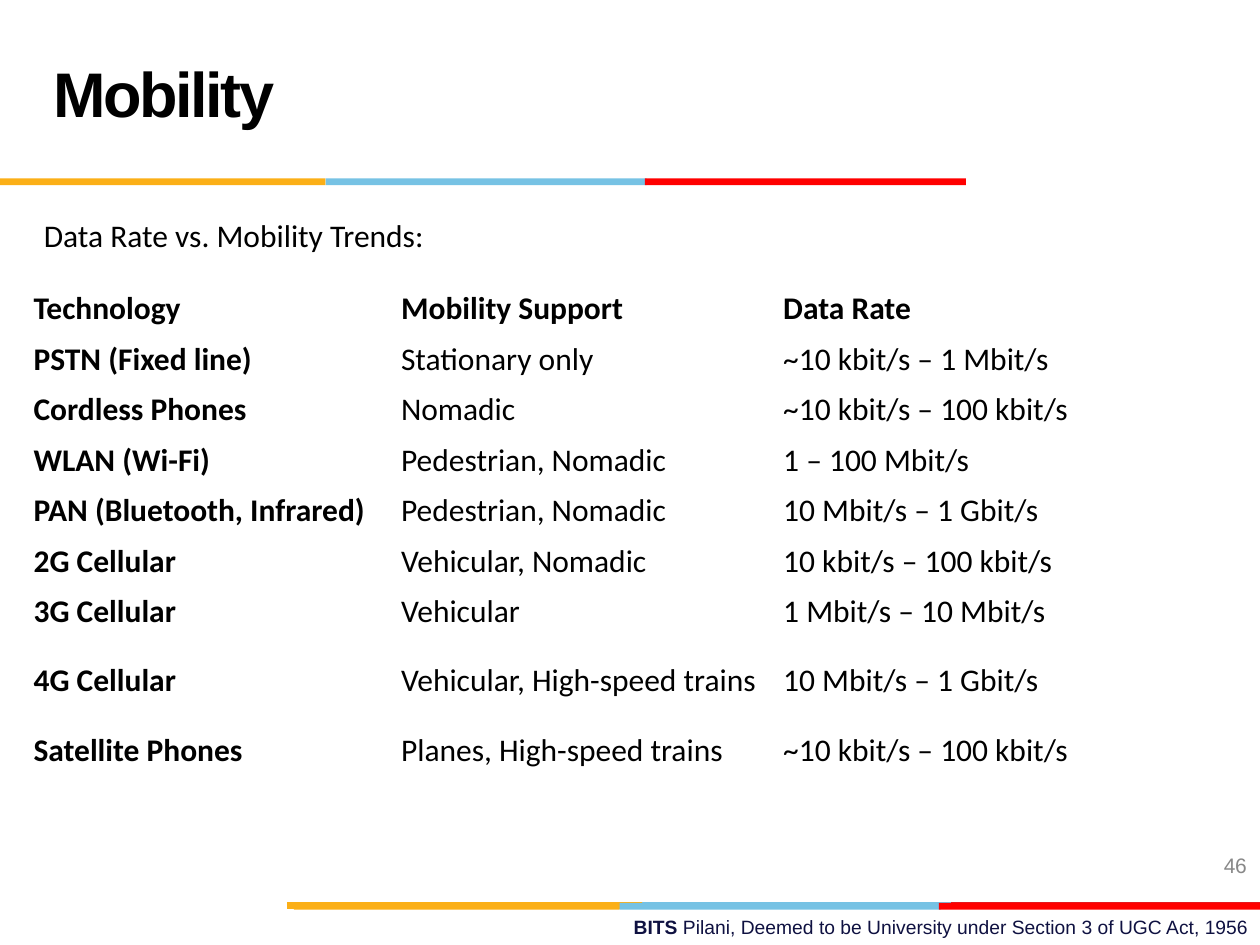
from pptx import Presentation
from pptx.util import Pt
from pptx.dml.color import RGBColor
from pptx.enum.shapes import MSO_SHAPE
from pptx.enum.text import MSO_ANCHOR, PP_ALIGN

RECT = MSO_SHAPE.RECTANGLE
TOP, MID = MSO_ANCHOR.TOP, MSO_ANCHOR.MIDDLE
LEFT = PP_ALIGN.LEFT

# Content
HEX = {"black": "000000", "gray": "888888", "navy": "0F1141", "blue": "76C2E4",
       "gold": "FBAF17", "red": "FF0000", "brick": "E21C23"}
TITLE = "Mobility"
INTRO = "Data Rate vs. Mobility Trends:"
PAGE = "46"
FOOT = [("BITS ", True),
        ("Pilani, Deemed to be University under Section 3 of UGC Act, 1956", False)]
ROWS = [
    ("Technology", "Mobility Support", "Data Rate"),
    ("PSTN (Fixed line)", "Stationary only", "~10 kbit/s – 1 Mbit/s"),
    ("Cordless Phones", "Nomadic", "~10 kbit/s – 100 kbit/s"),
    ("WLAN (Wi-Fi)", "Pedestrian, Nomadic", "1 – 100 Mbit/s"),
    ("PAN (Bluetooth, Infrared)", "Pedestrian, Nomadic", "10 Mbit/s – 1 Gbit/s"),
    ("2G Cellular", "Vehicular, Nomadic", "10 kbit/s – 100 kbit/s"),
    ("3G Cellular", "Vehicular", "1 Mbit/s – 10 Mbit/s"),
    ("4G Cellular", "Vehicular, High-speed trains", "10 Mbit/s – 1 Gbit/s"),
    ("Satellite Phones", "Planes, High-speed trains", "~10 kbit/s – 100 kbit/s"),
]
# Stripes, back to front: top, then (colour, left, right)
BARS = [
    (515.6, [("blue", 364, 548), ("brick", 543.5, 720), ("gold", 164, 367)]),
    (516, [("blue", 354, 537.5), ("gold", 168, 354), ("red", 536.5, 720)]),
    (102, [("blue", 186, 369.5), ("gold", 0, 186), ("red", 368.5, 552)]),
]
BAR_H = 3.8
COLS = [210, 218.4, 218.4]
ROW_H, TALL_H, TALL = 28.8, 50.4, 7

# Text formats
HEAD = {"name": "Arial", "size": Pt(36), "bold": True}
BODY = {"name": "Calibri", "size": Pt(18), "bold": False}
NUM = {"name": "Arial", "size": Pt(12), "bold": False}
NOTE = {"name": "Arial", "size": Pt(11)}


def rgb(key):
    return RGBColor.from_string(HEX[key])


def write(frame, runs, look, tint="black", track=0):
    par = frame.paragraphs[0]
    par.alignment = LEFT
    for text, bold in runs:
        run = par.add_run()
        run.text = text
        for key, val in {**look, "bold": bold}.items():
            setattr(run.font, key, val)
        run.font.color.rgb = rgb(tint)
        if track:
            run._r.get_or_add_rPr().set("spc", str(track))
    return par


def place(shape, box):
    for key, val in zip(("left", "top", "width", "height"), box):
        setattr(shape, key, Pt(val))


def inset(frame, left, top, right, bottom):
    frame.margin_left, frame.margin_top = Pt(left), Pt(top)
    frame.margin_right, frame.margin_bottom = Pt(right), Pt(bottom)
    frame.vertical_anchor = TOP


def label(box, pad, *args):
    shape = slide.shapes.add_textbox(*map(Pt, box))
    shape.text_frame.word_wrap = True
    inset(shape.text_frame, *pad)
    return write(shape.text_frame, *args)


deck = Presentation()
deck.slide_width, deck.slide_height = Pt(720), Pt(540)
slide = deck.slides.add_slide(deck.slide_layouts[5])

# Stripes
for top, parts in BARS:
    for tint, left, right in parts:
        bar = slide.shapes.add_shape(RECT, Pt(left), Pt(top), Pt(right - left), Pt(BAR_H))
        bar.shadow.inherit = False
        bar.fill.solid()
        bar.fill.fore_color.rgb = rgb(tint)
        bar.line.fill.background()

# Title
title = slide.shapes.title
place(title, (30.5, 11.5, 479.5, 81.4))
inset(title.text_frame, 0, 19.5, 0, 0)
write(title.text_frame, [(TITLE, True)], HEAD, "black", -140)

# Page number and footer
num = label((696.5, 487.4, 20, 15), (2.9, 0, 0, 0), [(PAGE, False)], NUM, "gray", -20)
num.line_spacing = Pt(14.2)
label((361.4, 522.8, 354, 14.4), (0.7, 0, 0, 0), FOOT, NOTE, "navy")

# Table
tall = ROW_H * (len(ROWS) - 1) + TALL_H
grid = slide.shapes.add_table(len(ROWS), len(COLS), Pt(12), Pt(162),
                              Pt(sum(COLS)), Pt(tall)).table
grid.first_row = grid.horz_banding = False
for col, width in zip(grid.columns, COLS):
    col.width = Pt(width)
for r, row in enumerate(ROWS):
    grid.rows[r].height = Pt(TALL_H if r == TALL else ROW_H)
    for c, text in enumerate(row):
        cell = grid.cell(r, c)
        cell.fill.background()
        cell.vertical_anchor = MID
        write(cell.text_frame, [(text, r == 0 or c == 0)], BODY)

# Intro line
label((18, 120.2, 402, 30), (7.2, 3.6, 7.2, 3.6), [(INTRO, False)], BODY)

deck.save("out.pptx")
